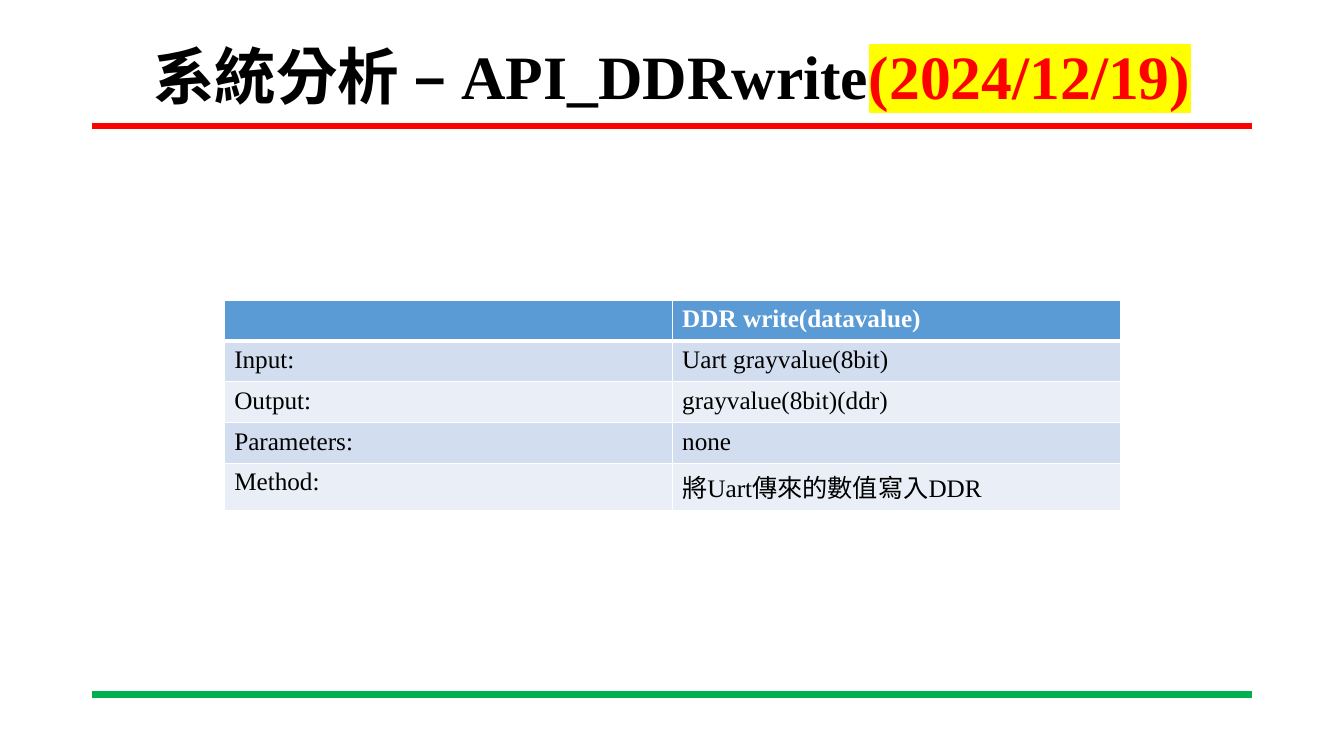
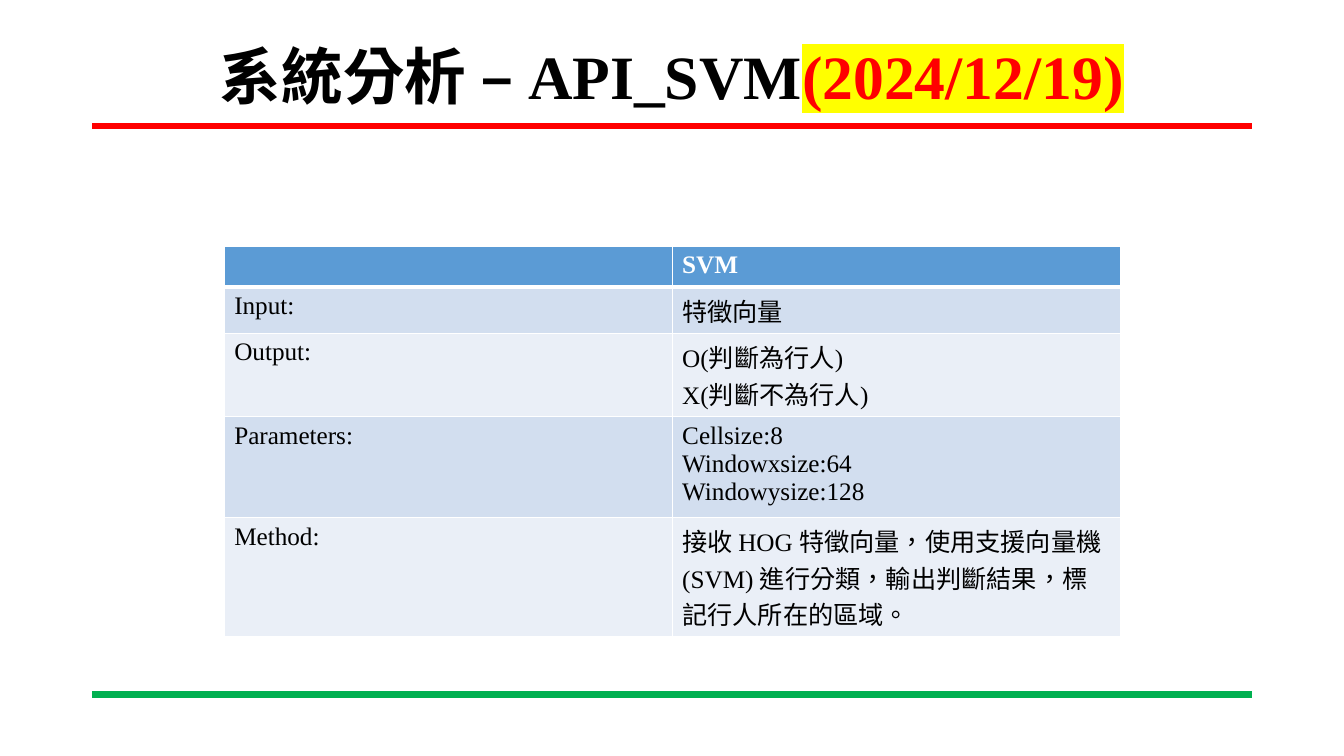
import pptx
import pptx.dml.color
import pptx.enum.lang
import pptx.enum.shapes
import pptx.enum.text
import pptx.oxml
import pptx.oxml.ns
import pptx.util
from lxml import etree

Cm = pptx.util.Cm
Pt = pptx.util.Pt
RGBColor = pptx.dml.color.RGBColor
qn = pptx.oxml.ns.qn

BLACK = RGBColor(0x00, 0x00, 0x00)
WHITE = RGBColor(0xFF, 0xFF, 0xFF)
RED = RGBColor(0xFF, 0x00, 0x00)
GREEN = RGBColor(0x00, 0xB0, 0x50)
YELLOW = RGBColor(0xFF, 0xFF, 0x00)
HEADER_BLUE = RGBColor(0x5B, 0x9B, 0xD5)
ROW_BLUES = (RGBColor(0xD2, 0xDE, 0xEF), RGBColor(0xEA, 0xEF, 0xF7))

FONT = "Times New Roman"
LEFT, WIDTH = Cm(2.33), Cm(29.21)
TABLE_LEFT, COLUMN_WIDTH = Cm(5.65), Cm(11.29)
LABELS = ("Input:", "Output:", "Parameters:", "Method:")


class Deck:
    """Holds the style and the current slide."""

    def __init__(self):
        self.presentation = pptx.Presentation()
        self.presentation.slide_width = Cm(33.87)
        self.presentation.slide_height = Cm(19.05)
        self.slide = None

    def add_slide(self, title, date):
        layout = self.presentation.slide_layouts[6]
        self.slide = self.presentation.slides.add_slide(layout)
        self.add_rule(Cm(3.18), RED)
        self.add_rule(Cm(17.5), GREEN)
        self.add_title(title, date)

    def add_rule(self, top, color):
        rule = self.slide.shapes.add_connector(
            pptx.enum.shapes.MSO_CONNECTOR.STRAIGHT, LEFT, top, LEFT + WIDTH, top)
        rule.line.color.rgb = color
        rule.line.width = Pt(4.5)
        etree.SubElement(rule._element.spPr, qn("a:effectLst"))

    def format_run(self, run, size, color, bold=False):
        font = run.font
        font.name = FONT
        font.size = Pt(size)
        font.bold = bold
        font.color.rgb = color
        font.language_id = pptx.enum.lang.MSO_LANGUAGE_ID.TRADITIONAL_CHINESE

    def highlight(self, run, color):
        mark = etree.Element(qn("a:highlight"))
        etree.SubElement(mark, qn("a:srgbClr"), val=str(color))
        run._r.get_or_add_rPr().find(qn("a:solidFill")).addnext(mark)

    def add_title(self, title, date):
        box = self.slide.shapes.add_textbox(LEFT, Cm(1), WIDTH, Cm(2))
        frame = box.text_frame
        frame.word_wrap = True
        frame.vertical_anchor = pptx.enum.text.MSO_ANCHOR.MIDDLE
        paragraph = frame.paragraphs[0]
        paragraph.alignment = pptx.enum.text.PP_ALIGN.CENTER
        paragraph.line_spacing = 0.9
        for text, color in ((title, BLACK), (date, RED)):
            run = paragraph.add_run()
            run.text = text
            self.format_run(run, 44, color, bold=True)
        self.highlight(run, YELLOW)

    def set_borders(self, cell, top, bottom):
        properties = cell._tc.get_or_add_tcPr()
        widths = (("a:lnL", 1), ("a:lnR", 1), ("a:lnT", top), ("a:lnB", bottom))
        for index, (tag, width) in enumerate(widths):
            line = etree.Element(qn(tag), w=str(Pt(width)))
            fill = etree.SubElement(line, qn("a:solidFill"))
            etree.SubElement(fill, qn("a:srgbClr"), val=str(WHITE))
            properties.insert(index, line)

    def fill_cell(self, cell, text, fill, color, bold):
        cell.fill.solid()
        cell.fill.fore_color.rgb = fill
        cell.text_frame.text = text
        for paragraph in cell.text_frame.paragraphs:
            for run in paragraph.runs:
                self.format_run(run, 18, color, bold)
            if not paragraph.runs:
                # A smaller end mark keeps an empty cell from stretching its row
                etree.SubElement(paragraph._p, qn("a:endParaRPr"), sz="1600")

    def add_api_table(self, top, row_heights, name, values):
        rows = [("", name), *zip(LABELS, values)]
        heights = [Cm(height) for height in row_heights]
        table = self.slide.shapes.add_table(
            len(rows), 2, TABLE_LEFT, top, 2 * COLUMN_WIDTH, sum(heights)).table
        for row_index, (texts, height) in enumerate(zip(rows, heights)):
            header = row_index == 0
            table.rows[row_index].height = height
            fill = HEADER_BLUE if header else ROW_BLUES[(row_index - 1) % 2]
            for column_index, text in enumerate(texts):
                cell = table.cell(row_index, column_index)
                self.fill_cell(cell, text, fill, WHITE if header else BLACK, header)
                self.set_borders(cell, top=3 if row_index == 1 else 1,
                                 bottom=3 if header else 1)


def main():
    deck = Deck()

    # DDR write
    deck.add_slide("系統分析 – API_DDRwrite", "(2024/12/19)")
    deck.add_api_table(
        Cm(7.57), (0.93, 1.03, 1.03, 1.03, 1.18), "DDR write(datavalue)", (
            "Uart grayvalue(8bit)",
            "grayvalue(8bit)(ddr)",
            "none",
            "將Uart傳來的數值寫入DDR",
        ))

    # SVM
    deck.add_slide("系統分析 – API_SVM", "(2024/12/19)")
    deck.add_api_table(
        Cm(6.21), (1.03, 1.16, 2.1, 2.36, 3), "SVM", (
            "特徵向量",
            "O(判斷為行人)\nX(判斷不為行人)",
            "Cellsize:8\nWindowxsize:64\nWindowysize:128",
            "接收 HOG 特徵向量，使用支援向量機 (SVM) 進行分類，輸出判斷結果，標記行人所在的區域。",
        ))

    deck.presentation.save("out.pptx")


if __name__ == "__main__":
    main()
